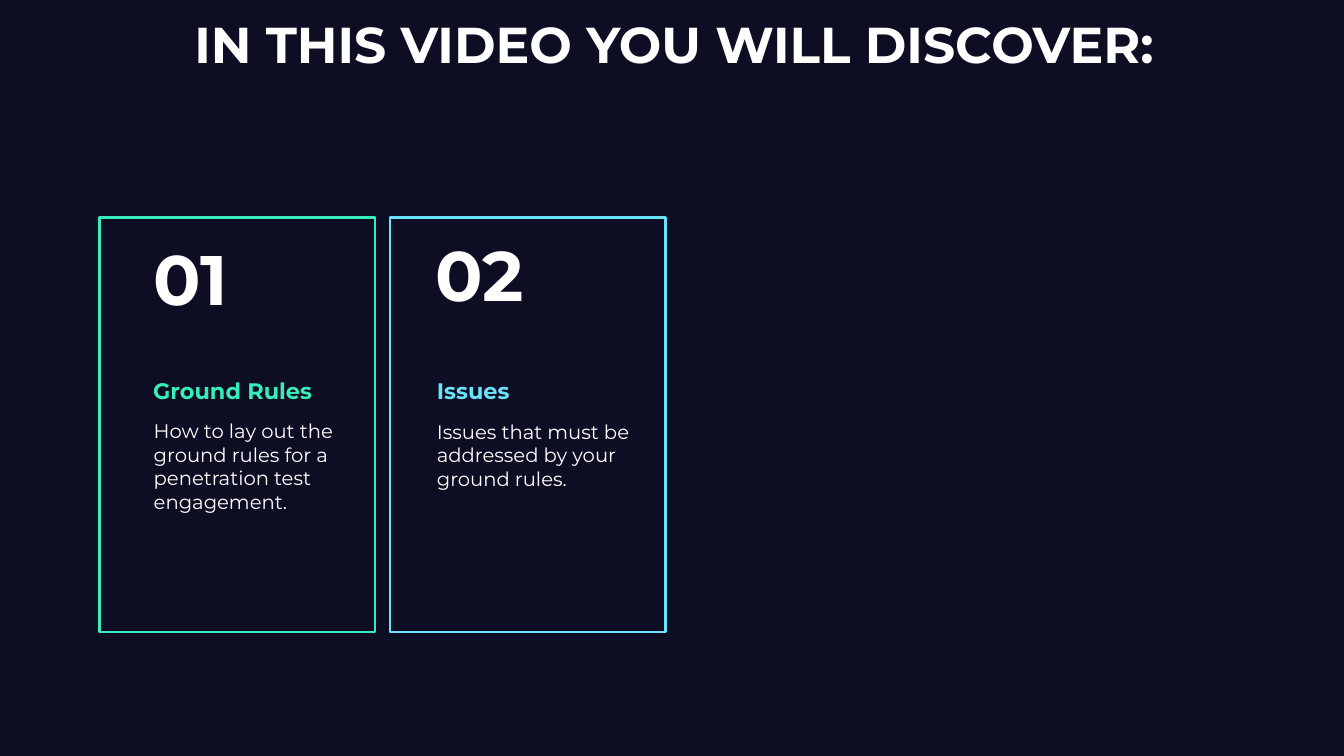
from dataclasses import dataclass

from pptx import Presentation
from pptx.dml.color import RGBColor
from pptx.enum import shapes, text
from pptx.util import Cm, Pt

FONT = "Montserrat"
WHITE = "FFFFFF"
LEFT, TOP, WIDTH, HEIGHT, STEP = 5.03, 10.95, 13.87, 20.9, 14.63


@dataclass
class Box:
    left: float
    top: float
    width: float
    height: float

    def place(self) -> tuple:
        return Cm(self.left), Cm(self.top), Cm(self.width), Cm(self.height)


@dataclass
class Card:
    label: str
    head: str
    body: str
    hue: str
    label_box: Box
    head_box: Box
    body_box: Box
    before: float = 0


CARDS = [
    Card("01", "Ground Rules",
         "How to lay out the ground rules for a penetration test engagement.",
         "37EDB9", Box(7.72, 11.86, 5.61, 4.27), Box(7.72, 19.28, 11.18, 1.09),
         Box(7.75, 21.13, 10.06, 8.53)),
    Card("02", "Issues", "Issues that must be addressed by your ground rules.",
         "69E3F7", Box(21.95, 11.86, 6.76, 3.86), Box(22.02, 19.28, 10.57, 1.09),
         Box(22.02, 21.16, 11.15, 8.53), before=42),
]


def paint(target, hue: str) -> None:
    target.rgb = RGBColor.from_string(hue)


def write(shape, words: str, *, size: float, hue: str = WHITE, bold: bool = False,
          align=text.PP_ALIGN.LEFT, anchor=text.MSO_ANCHOR.MIDDLE,
          space: float = 1.0, before: float = 0, grow: bool = False) -> None:
    frame = shape.text_frame
    frame.word_wrap = True
    frame.margin_left = frame.margin_right = 0
    frame.margin_top = frame.margin_bottom = 0
    frame.vertical_anchor = anchor
    fit = text.MSO_AUTO_SIZE
    frame.auto_size = fit.SHAPE_TO_FIT_TEXT if grow else fit.NONE
    para = frame.paragraphs[0]
    para.alignment = align
    para.line_spacing = space
    para.space_before = Pt(before)
    run = para.add_run()
    run.text = words
    run.font.name = FONT
    run.font.size = Pt(size)
    run.font.bold = bold
    paint(run.font.color, hue)


def draw(slide, card: Card, left: float) -> None:
    def add(box: Box):
        return slide.shapes.add_textbox(*box.place())

    edge = slide.shapes.add_shape(shapes.MSO_SHAPE.ROUNDED_RECTANGLE,
                                  *Box(left, TOP, WIDTH, HEIGHT).place())
    edge.adjustments[0] = 0
    edge.shadow.inherit = False
    edge.fill.background()
    edge.line.width = Pt(4)
    paint(edge.line.color, card.hue)
    write(add(card.label_box), card.label, size=100, bold=True)
    write(add(card.head_box), card.head, size=32, hue=card.hue, bold=True,
          space=0.8, grow=True)
    write(add(card.body_box), card.body, size=28,
          anchor=text.MSO_ANCHOR.TOP, before=card.before)


def main() -> None:
    deck = Presentation()
    deck.slide_width, deck.slide_height = Cm(67.74), Cm(38.1)
    slide = deck.slides.add_slide(deck.slide_layouts[5])
    slide.background.fill.solid()
    paint(slide.background.fill.fore_color, "0D0D23")
    title = slide.shapes.title
    title.left, title.top, title.width, title.height = Box(
        2.74, 1.22, 62.46, 2.49).place()
    write(title, "IN THIS VIDEO YOU WILL DISCOVER:", size=72, bold=True,
          align=text.PP_ALIGN.CENTER, space=0.8, grow=True)
    for rank, card in enumerate(CARDS):
        draw(slide, card, LEFT + rank * STEP)
    deck.save("out.pptx")


if __name__ == "__main__":
    main()
